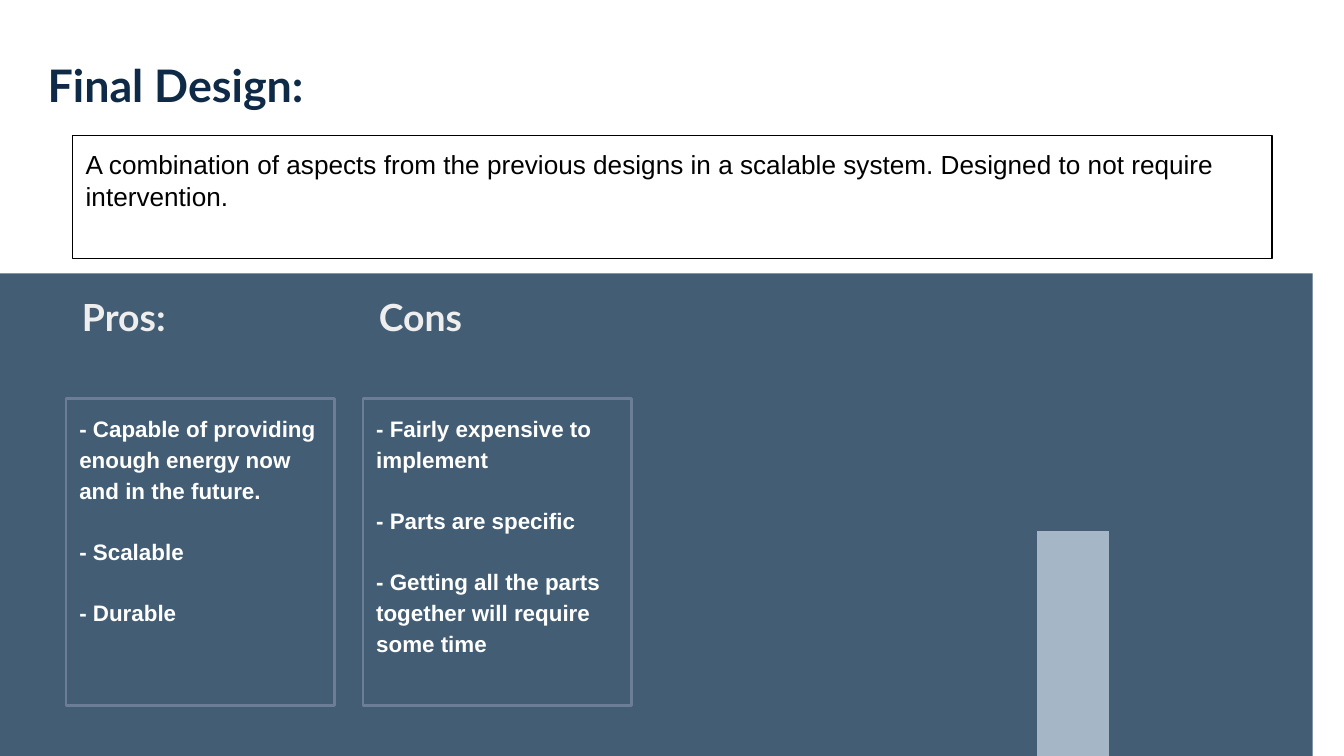
from pptx import Presentation
from pptx.dml.color import RGBColor
from pptx.enum.shapes import MSO_SHAPE
from pptx.enum.text import MSO_ANCHOR, PP_ALIGN
from pptx.util import Cm, Pt

RECT = MSO_SHAPE.RECTANGLE
TOP, MIDDLE = MSO_ANCHOR.TOP, MSO_ANCHOR.MIDDLE
LEFT = PP_ALIGN.LEFT

WIDTH, HEIGHT = 25.4, 14.29
NAVY, SLATE, MIST = "0E2A47", "435D74", "A5B7C6"
EDGE, PALE, WHITE, BLACK = "6C7E95", "EEEEEE", "FFFFFF", "000000"

TITLE = "Final Design:"
SUMMARY = ("A combination of aspects from the previous designs in a scalable "
           "system. Designed to not require intervention.")
COLUMNS = [
    ("Pros:", [
        "- Capable of providing enough energy now and in the future.",
        "- Scalable",
        "- Durable",
    ]),
    ("Cons", [
        "- Fairly expensive to implement",
        "- Parts are specific",
        "- Getting all the parts together will require some time",
    ]),
]
COL_LEFT, COL_STEP, COL_WIDTH = 1.25, 5.61, 5.08
HEAD_SHIFT = 0.05


def color(code):
    return RGBColor.from_string(code)


def add_rect(slide, box, fill=None, line=None, weight=0.75):
    shape = slide.shapes.add_shape(RECT, *map(Cm, box))
    shape.shadow.inherit = False
    if fill:
        shape.fill.solid()
        shape.fill.fore_color.rgb = color(fill)
    else:
        shape.fill.background()
    if line:
        shape.line.color.rgb = color(line)
        shape.line.width = Pt(weight)
    else:
        shape.line.fill.background()
    return shape


def write(shape, lines, font, size, ink, bold=True, anchor=TOP, space=1.0, gap=0):
    """Put one paragraph per line in the shape, gap points apart."""
    frame = shape.text_frame
    frame.word_wrap = True
    frame.vertical_anchor = anchor
    frame.margin_left = frame.margin_right = Cm(0.25)
    frame.margin_top = frame.margin_bottom = Cm(0.25)
    for i, line in enumerate(lines):
        para = frame.add_paragraph() if i else frame.paragraphs[0]
        para.alignment = LEFT
        para.line_spacing = space
        para.space_before = Pt(gap if i else 0)
        run = para.add_run()
        run.text = line
        run.font.name = font
        run.font.size = Pt(size)
        run.font.bold = bold
        run.font.color.rgb = color(ink)


def add_label(slide, box, text, size, ink, anchor=TOP):
    label = slide.shapes.add_textbox(*map(Cm, box))
    write(label, [text], "Lato", size, ink, anchor=anchor)


def main():
    deck = Presentation()
    deck.slide_width, deck.slide_height = Cm(WIDTH), Cm(HEIGHT)
    slide = deck.slides.add_slide(deck.slide_layouts[6])

    add_rect(slide, (0, 5.17, 24.81, HEIGHT - 5.17), SLATE)
    add_rect(slide, (19.6, 10.04, 1.36, HEIGHT - 10.04), MIST)
    add_label(slide, (0.65, 0.92, 6.8, 1.35), TITLE, 24, NAVY, MIDDLE)

    summary = add_rect(slide, (1.37, 2.56, 22.67, 2.33), line=BLACK)
    write(summary, [SUMMARY], "Arial", 14, BLACK, bold=False)

    for i, (head, points) in enumerate(COLUMNS):
        left = COL_LEFT + i * COL_STEP
        add_label(slide, (left + HEAD_SHIFT, 5.31, COL_WIDTH, 1.8), head, 20, PALE)
        card = add_rect(slide, (left, 7.53, COL_WIDTH, 5.81), line=EDGE, weight=1.5)
        write(card, points, "Arial", 12, WHITE, space=1.15, gap=16)

    deck.save("out.pptx")


if __name__ == "__main__":
    main()
